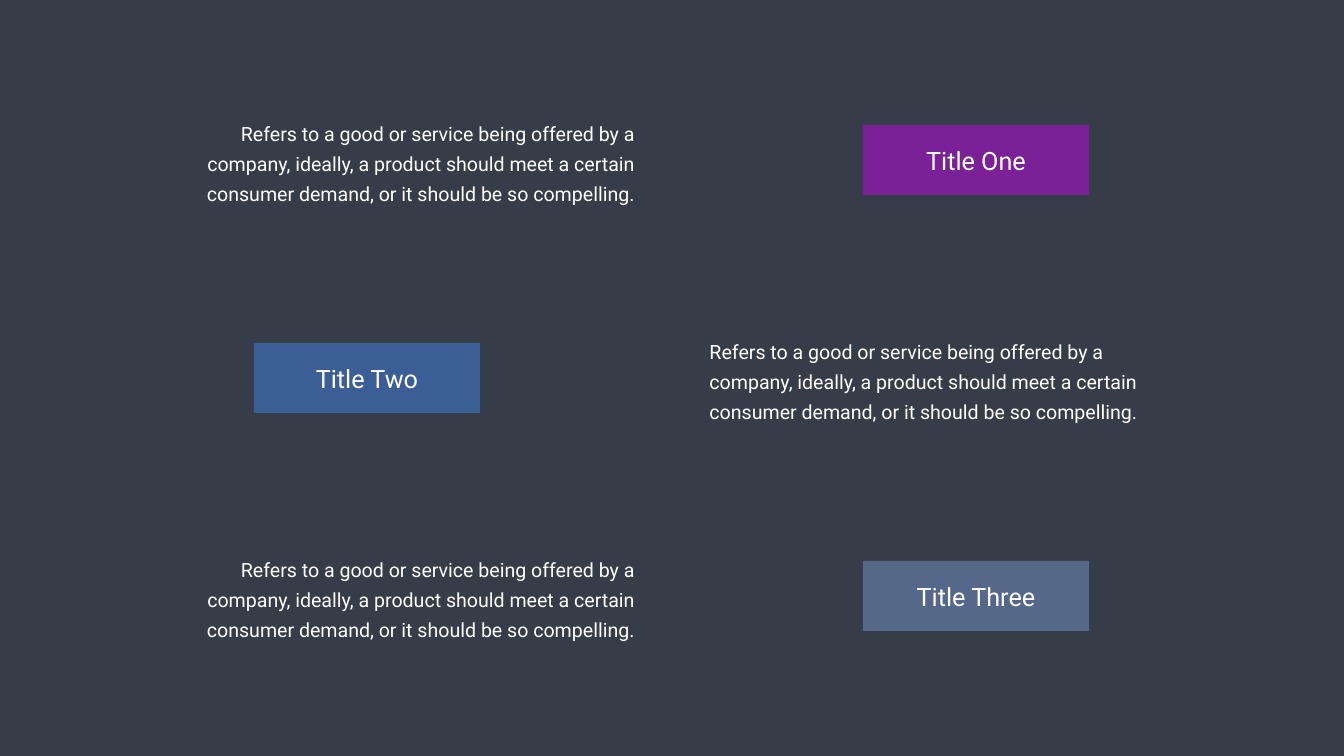
from dataclasses import dataclass

from lxml import etree
from pptx import Presentation
from pptx.dml.color import RGBColor
from pptx.enum.shapes import MSO_SHAPE
from pptx.enum.text import MSO_ANCHOR, PP_ALIGN
from pptx.oxml.ns import qn
from pptx.util import Emu, Pt

RECTANGLE = MSO_SHAPE.RECTANGLE
LEFT, CENTER, RIGHT = PP_ALIGN.LEFT, PP_ALIGN.CENTER, PP_ALIGN.RIGHT
TOP, MIDDLE = MSO_ANCHOR.TOP, MSO_ANCHOR.MIDDLE


@dataclass(frozen=True)
class Theme:
    background: str = "363D48"
    text: str = "FFFFFF"
    font: str = "Roboto"
    title_size: int = 36
    body_size: int = 28
    body_leading: int = 43
    panel_opacity: int = 80


THEME = Theme()

# Content: title, panel colour, side on which the panel stands
DESCRIPTION = (
    "Refers to a good or service being offered by a company, ideally, "
    "a product should meet a certain consumer demand, or it should be "
    "so compelling."
)
ROWS = [
    ("Title One", "8C1BAB", "right"),
    ("Title Two", "3D67AA", "left"),
    ("Title Three", "5D739A", "right"),
]

# Layout in px
EMU_PER_PX = 914400 / 50.4
SLIDE_WIDTH, SLIDE_HEIGHT = 1344, 756
ROW_PITCH = 218
PANEL_SIZE = (226, 70)
TITLE_SIZE = (165, 36)
BODY_SIZE = (473, 101)
PANEL_CENTER = {"left": 367, "right": 976}
BODY_CENTER = {"left": 410, "right": 934}
BODY_ALIGNMENT = {"left": RIGHT, "right": LEFT}
TITLE_INSETS = (5, 3)
BODY_INSETS = (12, 6)


def px(value):
    return Emu(round(value * EMU_PER_PX))


def centered_box(center_x, center_y, size):
    width, height = size
    return [px(v) for v in (center_x - width / 2, center_y - height / 2, width, height)]


def add_panel(slide, box, color):
    panel = slide.shapes.add_shape(RECTANGLE, *box)
    panel.shadow.inherit = False
    panel.line.fill.background()
    panel.fill.solid()
    panel.fill.fore_color.rgb = RGBColor.from_string(color)
    color_element = panel.fill._xPr.find(qn("a:solidFill"))[0]
    alpha = etree.SubElement(color_element, qn("a:alpha"))
    alpha.set("val", str(THEME.panel_opacity * 1000))


def add_text(slide, box, text, size, alignment, anchor, insets, leading=None):
    text_frame = slide.shapes.add_textbox(*box).text_frame
    text_frame.word_wrap = True
    text_frame.vertical_anchor = anchor
    text_frame.margin_left = text_frame.margin_right = px(insets[0])
    text_frame.margin_top = text_frame.margin_bottom = px(insets[1])
    text_frame.text = text
    paragraph = text_frame.paragraphs[0]
    paragraph.alignment = alignment
    if leading:
        paragraph.line_spacing = Pt(leading)
    font = paragraph.runs[0].font
    font.name = THEME.font
    font.size = Pt(size)
    font.color.rgb = RGBColor.from_string(THEME.text)


def main():
    presentation = Presentation()
    presentation.slide_width = px(SLIDE_WIDTH)
    presentation.slide_height = px(SLIDE_HEIGHT)
    slide = presentation.slides.add_slide(presentation.slide_layouts[6])
    slide.background.fill.solid()
    slide.background.fill.fore_color.rgb = RGBColor.from_string(THEME.background)

    # Rows are spread evenly about the middle of the slide
    first_row = SLIDE_HEIGHT / 2 - ROW_PITCH * (len(ROWS) - 1) / 2
    for index, (title, color, panel_side) in enumerate(ROWS):
        center_y = first_row + index * ROW_PITCH
        body_side = "left" if panel_side == "right" else "right"
        panel_x = PANEL_CENTER[panel_side]

        # Description
        add_text(slide, centered_box(BODY_CENTER[body_side], center_y, BODY_SIZE),
                 DESCRIPTION, THEME.body_size, BODY_ALIGNMENT[body_side], TOP,
                 BODY_INSETS, THEME.body_leading)

        # Panel with its title
        add_panel(slide, centered_box(panel_x, center_y, PANEL_SIZE), color)
        add_text(slide, centered_box(panel_x, center_y, TITLE_SIZE),
                 title, THEME.title_size, CENTER, MIDDLE, TITLE_INSETS)

    presentation.save("out.pptx")


if __name__ == "__main__":
    main()
